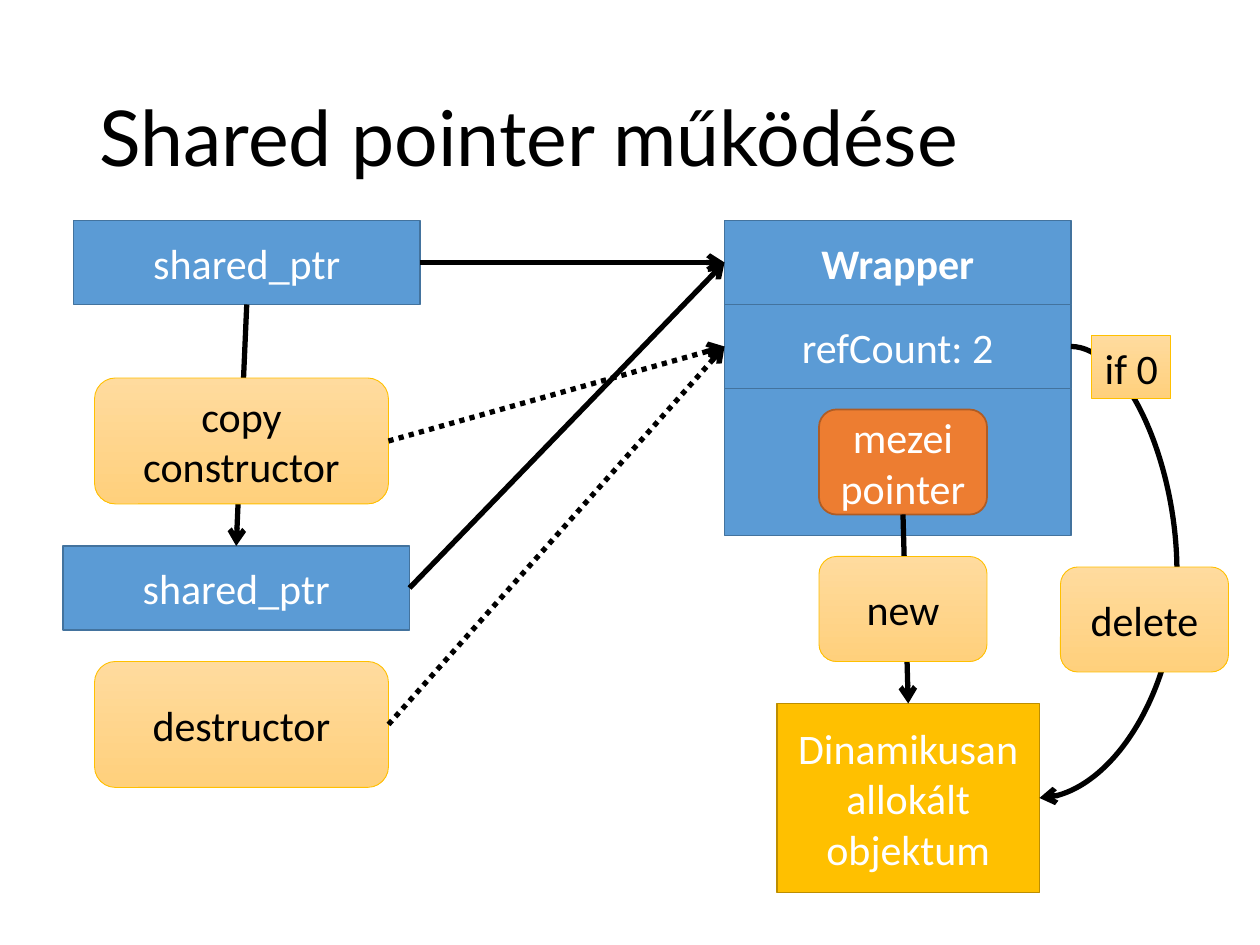
import pptx
import pptx.util
import pptx.dml.color
import pptx.enum.dml
import pptx.enum.shapes
import pptx.enum.text
import pptx.oxml.ns
from dataclasses import dataclass
from lxml import etree

Pt = pptx.util.Pt
qn = pptx.oxml.ns.qn
Kind = pptx.enum.shapes.MSO_SHAPE
Link = pptx.enum.shapes.MSO_CONNECTOR
Align = pptx.enum.text.PP_ALIGN
TOP, LEFT, BOTTOM, RIGHT = range(4)


@dataclass(frozen=True)
class Theme:
    blue: tuple = ("5B9BD5", "43739E")
    orange: tuple = ("ED7D31", "AF5C24")
    gold: tuple = ("FFC000", "BD8E00")
    pale: tuple = ("FFDB9E", "FFD07C")
    rim: str = "FFC000"
    ink: str = "000000"
    white: str = "FFFFFF"
    head: str = "Lato"
    body: str = "Calibri"
    title: int = 44
    text: int = 24
    edge: float = 1
    thin: float = 0.5
    arrow: float = 3


THEME = Theme()


def color(code):
    return pptx.dml.color.RGBColor.from_string(code)


def write(frame, text, font, size, tint, align, bold=False):
    par = frame.paragraphs[0]
    par.alignment = align
    run = par.add_run()
    run.text = text
    run.font.name = font
    run.font.size = Pt(size)
    run.font.bold = bold
    run.font.color.rgb = color(tint)
    return par


def block(slide, box, text, kind, tint, line, width, bold=False):
    """Add an outlined shape with centred text and leave its fill to the caller."""
    shape = slide.shapes.add_shape(kind, *map(Pt, box))
    shape.shadow.inherit = False
    shape.line.color.rgb = color(line)
    shape.line.width = Pt(width)
    if text:
        write(shape.text_frame, text, THEME.body, THEME.text, tint,
              Align.CENTER, bold)
    return shape


def solid(slide, box, text, pair, kind=Kind.RECTANGLE, bold=False):
    fill, line = pair
    shape = block(slide, box, text, kind, THEME.white, line, THEME.edge, bold)
    shape.fill.solid()
    shape.fill.fore_color.rgb = color(fill)
    return shape


def action(slide, box, text, kind=Kind.ROUNDED_RECTANGLE):
    """Add a pale gradient box that names an operation."""
    shape = block(slide, box, text, kind, THEME.ink, THEME.rim, THEME.thin)
    shape.fill.gradient()
    shape.fill.gradient_angle = 270
    for stop, code in zip(shape.fill.gradient_stops, THEME.pale):
        stop.color.rgb = color(code)
    return shape


def arrow(slide, start, out, end, into, kind=Link.STRAIGHT, dots=False):
    """Join side `out` of start to side `into` of end."""
    link = slide.shapes.add_connector(kind, 0, 0, 0, 0)
    link.begin_connect(start, out)
    link.end_connect(end, into)
    link.line.color.rgb = color(THEME.ink)
    link.line.width = Pt(THEME.arrow)
    if dots:
        link.line.dash_style = pptx.enum.dml.MSO_LINE.ROUND_DOT
    props = link._element.spPr
    etree.SubElement(props.find(qn("a:ln")), qn("a:tailEnd"), type="arrow")
    etree.SubElement(props, qn("a:effectLst"))
    return link


def heading(slide, box, text):
    shape = slide.shapes.title
    shape.left, shape.top, shape.width, shape.height = map(Pt, box)
    frame = shape.text_frame
    frame.word_wrap = True
    frame.vertical_anchor = pptx.enum.text.MSO_ANCHOR.MIDDLE
    par = write(frame, text, THEME.head, THEME.title, THEME.ink, Align.LEFT)
    par.line_spacing = 0.9


def wrapper(slide, box):
    """Stack name, count and pointer; return the three parts."""
    x, y, w, h = box
    row = 48
    name = solid(slide, (x, y, w, row), "Wrapper", THEME.blue, bold=True)
    solid(slide, (x, y + 2 * row, w, h - 2 * row), "", THEME.blue)
    raw = solid(slide, (x + 54, y + 108, 96, 60), "mezei pointer",
                THEME.orange, Kind.ROUNDED_RECTANGLE)
    count = solid(slide, (x, y + row, w, row), "refCount: 2", THEME.blue)
    return name, count, raw


def owners(slide, box, name, count):
    """Place both shared pointers and their operations, linked to the wrapper."""
    x, y, w, h = box
    first = solid(slide, (x + 6, y, w - 6, 48), "shared_ptr", THEME.blue)
    second = solid(slide, (x, y + 186, w - 6, 48), "shared_ptr", THEME.blue)
    for owner in (first, second):
        arrow(slide, owner, RIGHT, name, LEFT)
    arrow(slide, first, BOTTOM, second, TOP)
    for text, drop in (("copy constructor", 90), ("destructor", h - 72)):
        step = action(slide, (x + 18, y + drop, 168, 72), text)
        arrow(slide, step, RIGHT, count, LEFT, dots=True)


def target(slide, box, count, raw):
    """Place the allocated object with the ways it is made and freed."""
    x, y, w, h = box
    item = solid(slide, (x, y + h - 108, 150, 108),
                 "Dinamikusan allokált objektum", THEME.gold)
    arrow(slide, raw, BOTTOM, item, TOP)
    action(slide, (x + 24, y + 126, 96, 60), "new")
    bend = arrow(slide, count, RIGHT, item, RIGHT, Link.CURVE)
    guides = bend._element.spPr.find(qn("a:prstGeom")).find(qn("a:avLst"))
    etree.SubElement(guides, qn("a:gd"), name="adj1", fmla="val -336600")
    action(slide, (x + w - 96, y + 132, 96, 60), "delete")
    test = action(slide, (x + 180, y, 45, 36), "if 0", Kind.RECTANGLE)
    test.text_frame.word_wrap = False


def main():
    deck = pptx.Presentation()
    deck.slide_width, deck.slide_height = Pt(720), Pt(540)
    slide = deck.slides.add_slide(deck.slide_layouts[5])
    heading(slide, (49.5, 28.75, 621, 104.4), "Shared pointer működése")
    name, count, raw = wrapper(slide, (414, 126, 198, 180))
    owners(slide, (36, 126, 204, 324), name, count)
    target(slide, (444, 192, 258, 318), count, raw)
    deck.save("out.pptx")


if __name__ == "__main__":
    main()
